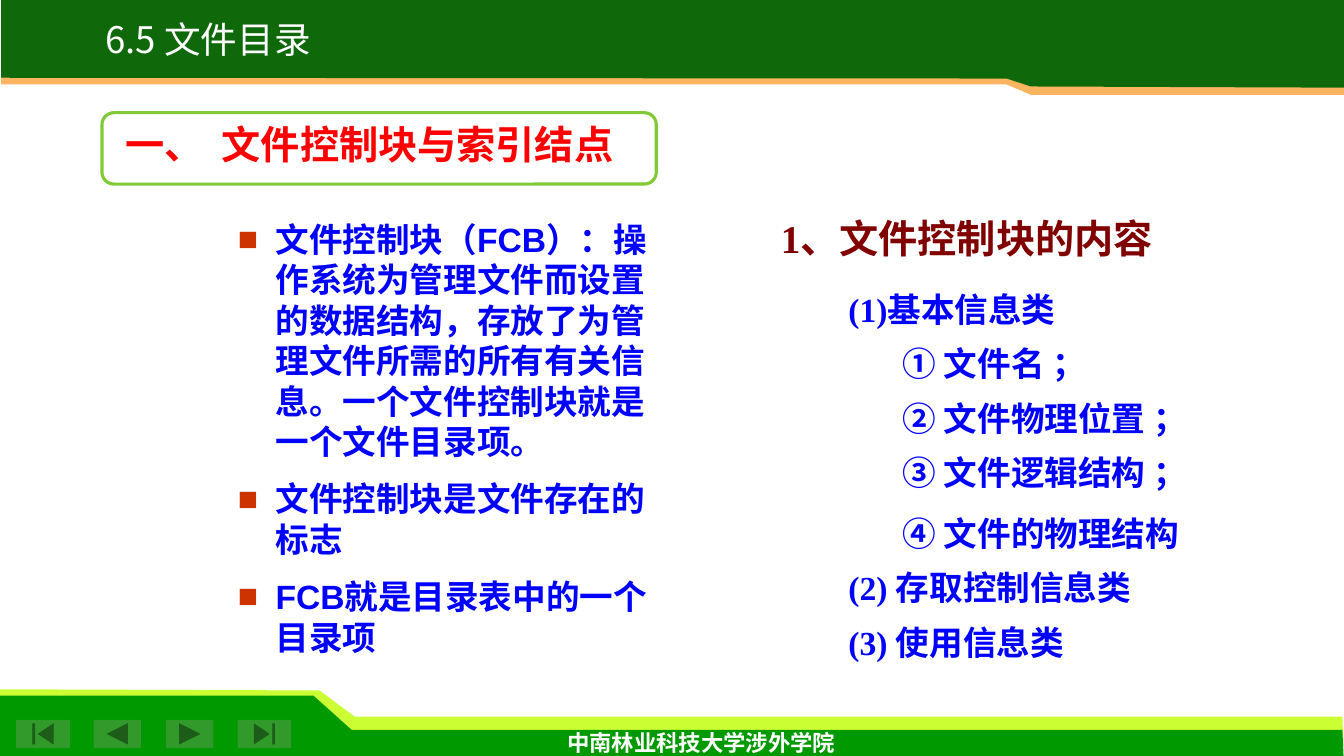
from lxml import etree
from pptx import Presentation
from pptx.dml.color import RGBColor
from pptx.enum.shapes import MSO_SHAPE
from pptx.enum.text import MSO_ANCHOR, MSO_AUTO_SIZE, PP_ALIGN
from pptx.oxml.ns import qn
from pptx.util import Cm, Pt

ROUNDED = MSO_SHAPE.ROUNDED_RECTANGLE
BUTTON_FIRST = MSO_SHAPE.ACTION_BUTTON_BEGINNING
BUTTON_BACK = MSO_SHAPE.ACTION_BUTTON_BACK_OR_PREVIOUS
BUTTON_NEXT = MSO_SHAPE.ACTION_BUTTON_FORWARD_OR_NEXT
BUTTON_LAST = MSO_SHAPE.ACTION_BUTTON_END
TOP, MIDDLE = MSO_ANCHOR.TOP, MSO_ANCHOR.MIDDLE
LEFT, CENTER = PP_ALIGN.LEFT, PP_ALIGN.CENTER
NO_AUTOFIT = MSO_AUTO_SIZE.NONE

WHITE = RGBColor(0xFF, 0xFF, 0xFF)
LIME = RGBColor(0xCC, 0xFF, 0x33)
GREEN = RGBColor(0x00, 0x99, 0x00)
BUTTON_GREEN = RGBColor(0x32, 0x9A, 0x2A)
FRAME_GREEN = RGBColor(0x80, 0xCB, 0x35)
DARK_GREEN = RGBColor(0x0F, 0x69, 0x0B)
ORANGE = RGBColor(0xFB, 0xB5, 0x61)
RED = RGBColor(0xFF, 0x00, 0x00)
MAROON = RGBColor(0x80, 0x00, 0x00)
BLUE = RGBColor(0x00, 0x00, 0xFF)
BULLET_RED = RGBColor(0xCC, 0x33, 0x00)

SANS, SERIF, CHINESE = "Arial", "Times New Roman", "Noto Sans CJK SC"

BANDS = [
    (LIME, [(0.03, 18.8), (33.86, 18.8), (33.83, 18.06), (8.94, 18.06), (8.05, 17.4), (0, 17.37)]),
    (GREEN, [(0, 19.05), (33.86, 19.05), (33.83, 18.39), (8.86, 18.39), (7.9, 17.53), (0, 17.53)]),
    (ORANGE, [(33.87, 0), (0.03, 0), (0.03, 2.13), (25.37, 2.13), (25.98, 2.39), (33.87, 2.39)]),
    (DARK_GREEN, [(33.87, 0), (0.03, 0), (0.03, 1.96), (25.37, 1.98), (25.98, 2.18), (33.87, 2.21)]),
]
BUTTONS = [(BUTTON_BACK, 2.36, 1.19), (BUTTON_NEXT, 4.19, 1.19),
           (BUTTON_FIRST, 0.41, 1.35), (BUTTON_LAST, 5.99, 1.35)]
DEFINITIONS = [
    "文件控制块（FCB）：操作系统为管理文件而设置的数据结构，存放了为管理文件所需的所有有关信息。一个文件控制块就是一个文件目录项。",
    "文件控制块是文件存在的标志",
    "FCB就是目录表中的一个目录项",
]
CONTENTS = [
    ("(1)基本信息类", 0, 38.9),
    ("① 文件名 ；", 1.37, 38.9),
    ("② 文件物理位置 ；", 1.37, 38.9),
    ("③ 文件逻辑结构 ；", 1.37, 38.9),
    ("④ 文件的物理结构", 1.37, 43.2),
    ("(2) 存取控制信息类", 0, 38.9),
    ("(3) 使用信息类", 0, 38.9),
]


class SlideBuilder:
    """Draws styled elements on one slide, with lengths in centimetres."""

    def __init__(self, presentation):
        self.slide = presentation.slides.add_slide(presentation.slide_layouts[1])
        self.shapes = self.slide.shapes

    def paint(self, shape, fill, line=None):
        shape.shadow.inherit = False
        shape.fill.solid()
        shape.fill.fore_color.rgb = fill
        if line is None:
            shape.line.fill.background()
        else:
            shape.line.color.rgb = line
            shape.line.width = Pt(2.25)

    def band(self, fill, points):
        corners = [(Cm(x), Cm(y)) for x, y in points]
        builder = self.shapes.build_freeform(*corners[0])
        builder.add_line_segments(corners[1:])
        self.paint(builder.convert_to_shape(), fill)

    def preset(self, kind, left, top, width, height, fill, line=None):
        shape = self.shapes.add_shape(kind, Cm(left), Cm(top), Cm(width), Cm(height))
        self.paint(shape, fill, line)

    def style(self, paragraph, size, color, font=SERIF, bold=True):
        paragraph.font.size = Pt(size)
        paragraph.font.bold = bold
        paragraph.font.color.rgb = color
        paragraph.font.name = font
        defaults = paragraph._p.pPr.find(qn("a:defRPr"))
        etree.SubElement(defaults, qn("a:ea"), typeface=CHINESE)

    def bullet(self, paragraph):
        properties = paragraph._p.get_or_add_pPr()
        properties.set("marL", str(Cm(0.95)))
        properties.set("indent", str(-Cm(0.95)))
        color = etree.SubElement(properties, qn("a:buClr"))
        etree.SubElement(color, qn("a:srgbClr"), val=str(BULLET_RED))
        etree.SubElement(properties, qn("a:buFont"), typeface=SANS)
        etree.SubElement(properties, qn("a:buChar"), char="■")

    def tab(self, paragraph, position):
        tabs = etree.SubElement(paragraph._p.get_or_add_pPr(), qn("a:tabLst"))
        etree.SubElement(tabs, qn("a:tab"), pos=str(Cm(position)), algn="l")

    def place(self, shape, left, top, width, height, anchor, wrap=True):
        shape.left, shape.top = Cm(left), Cm(top)
        shape.width, shape.height = Cm(width), Cm(height)
        frame = shape.text_frame
        frame.auto_size = NO_AUTOFIT
        frame.word_wrap = wrap
        frame.vertical_anchor = anchor
        if anchor == MIDDLE:
            frame.margin_top = frame.margin_bottom = 0
        return frame

    def text_box(self):
        return self.shapes.add_textbox(0, 0, 0, 0)

    def title(self, text, *box):
        shape = self.shapes.title
        shape._element.getparent().append(shape._element)
        paragraph = self.place(shape, *box, MIDDLE, wrap=False).paragraphs[0]
        paragraph.text = text
        paragraph.alignment = CENTER
        self.style(paragraph, 26.1, WHITE, CHINESE, bold=False)

    def label(self, text, box, size, color, alignment=LEFT, tab=None):
        paragraph = self.place(self.text_box(), *box, MIDDLE).paragraphs[0]
        paragraph.text = text
        paragraph.alignment = alignment
        if tab:
            self.tab(paragraph, tab)
        self.style(paragraph, size, color)

    def bullet_list(self, items, *box):
        shape = self.slide.placeholders[1]
        frame = self.place(shape, *box, TOP)
        for index, item in enumerate(items):
            paragraph = frame.add_paragraph() if index else frame.paragraphs[0]
            paragraph.text = item
            self.bullet(paragraph)
            paragraph.line_spacing = Pt(28.9)
            paragraph.space_before = Pt(12 if index else 0)
            self.style(paragraph, 24, BLUE, SANS)

    def outline(self, items, *box):
        frame = self.place(self.text_box(), *box, TOP)
        for index, (text, indent, spacing) in enumerate(items):
            paragraph = frame.add_paragraph() if index else frame.paragraphs[0]
            paragraph.text = text
            paragraph._p.get_or_add_pPr().set("marL", str(Cm(indent)))
            paragraph.line_spacing = Pt(spacing)
            self.style(paragraph, 24, BLUE)


def main():
    presentation = Presentation()
    presentation.slide_width, presentation.slide_height = Cm(33.87), Cm(19.05)
    builder = SlideBuilder(presentation)
    for fill, points in BANDS:
        builder.band(fill, points)
    for kind, left, width in BUTTONS:
        builder.preset(kind, left, 18.14, width, 0.71, BUTTON_GREEN)
    builder.label("中南林业科技大学涉外学院", (10.54, 18.26, 14.27, 0.9), 16, WHITE, CENTER)
    builder.bullet_list(DEFINITIONS, 5.74, 5.38, 11.2, 7.8)
    builder.preset(ROUNDED, 2.57, 2.84, 13.97, 1.8, WHITE, FRAME_GREEN)
    builder.label("一、\t文件控制块与索引结点", (2.92, 2.9, 13.59, 1.45), 28, RED, tab=2.42)
    builder.title("6.5 文件目录", 1.45, 0.36, 7.59, 1.22)
    builder.label("1、文件控制块的内容", (19.43, 5.26, 14.2, 1.45), 28, MAROON)
    builder.outline(CONTENTS, 21.13, 6.8, 11.4, 9.93)
    presentation.save("out.pptx")


if __name__ == "__main__":
    main()
